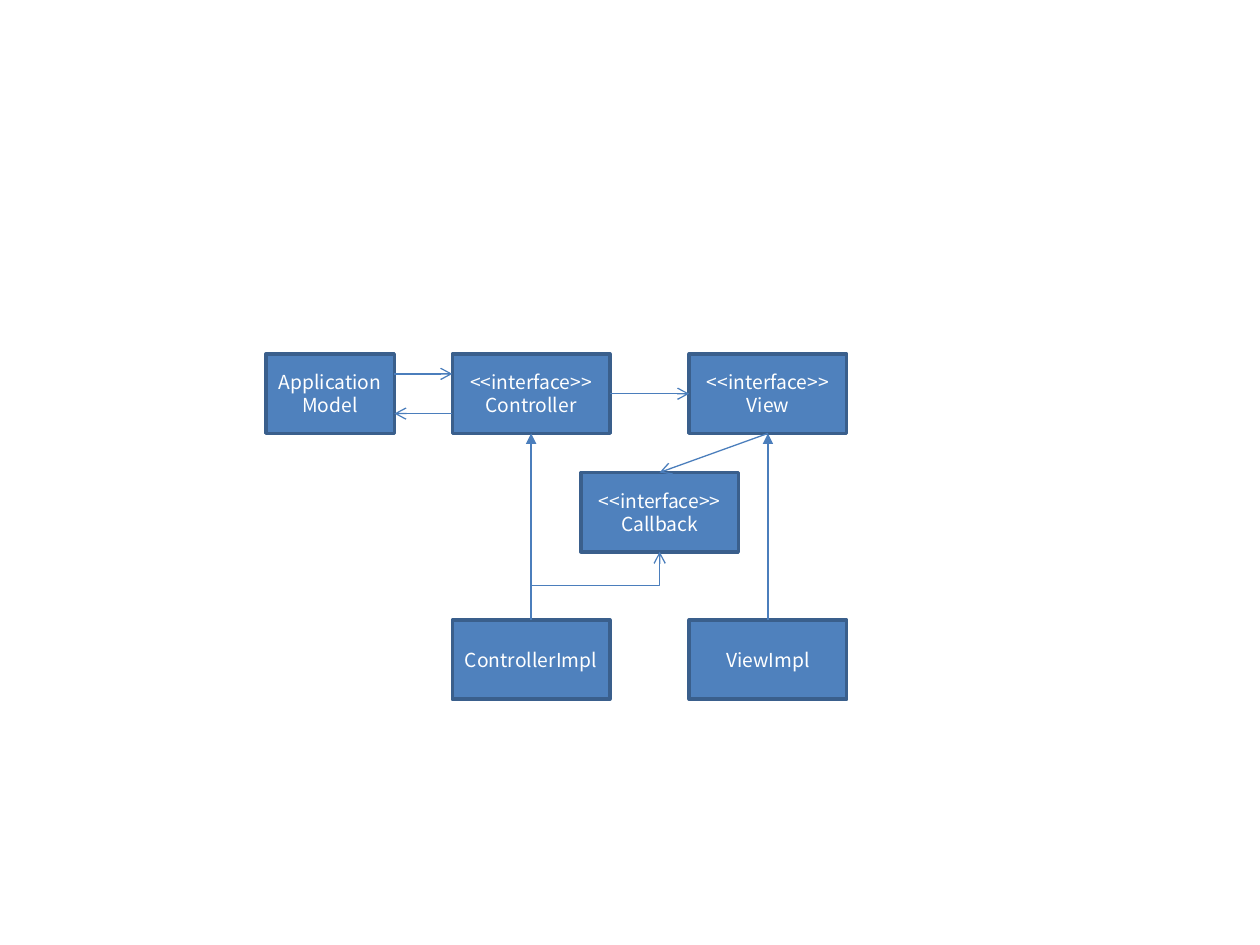
import dataclasses

import lxml.etree
import pptx
import pptx.dml.color
import pptx.enum.shapes
import pptx.enum.text
import pptx.oxml.ns
import pptx.util

Inches = pptx.util.Inches
BOX_HEIGHT = 0.63
INTERFACE_TOP, CALLBACK_TOP, IMPL_TOP = 2.81, 3.75, 4.92
FONT = "Noto Sans CJK KR"
FILL, BORDER, ARROW = "4F81BD", "3A5F8C", "4B7EBC"


@dataclasses.dataclass(frozen=True)
class ClassBox:
    lines: tuple[str, ...]
    left: float
    top: float
    width: float = 1.25

    @property
    def right(self) -> float:
        return self.left + self.width

    @property
    def center(self) -> float:
        return self.left + self.width / 2

    @property
    def middle(self) -> float:
        return self.top + BOX_HEIGHT / 2

    @property
    def bottom(self) -> float:
        return self.top + BOX_HEIGHT


@dataclasses.dataclass(frozen=True)
class Relation:
    start: tuple[float, float]
    end: tuple[float, float]
    head: str = "arrow"
    bent: bool = False


def color(value: str) -> pptx.dml.color.RGBColor:
    return pptx.dml.color.RGBColor.from_string(value)


def write_text(frame, lines: tuple[str, ...], *, size: float = 11,
               font: str = FONT, ink: str = "FFFFFF") -> None:
    frame.word_wrap = True
    frame.vertical_anchor = pptx.enum.text.MSO_ANCHOR.MIDDLE
    frame.margin_left = frame.margin_right = Inches(0.05)
    frame.margin_top = frame.margin_bottom = Inches(0.03)
    for index, line in enumerate(lines):
        paragraph = frame.add_paragraph() if index else frame.paragraphs[0]
        paragraph.alignment = pptx.enum.text.PP_ALIGN.CENTER
        run = paragraph.add_run()
        run.text = line
        run.font.size = pptx.util.Pt(size)
        run.font.name = font
        run.font.color.rgb = color(ink)
        for tag in ("a:ea", "a:cs"):
            lxml.etree.SubElement(run.font._element, pptx.oxml.ns.qn(tag), typeface=font)


def draw_box(slide, box: ClassBox) -> None:
    shape = slide.shapes.add_shape(
        pptx.enum.shapes.MSO_SHAPE.RECTANGLE,
        Inches(box.left), Inches(box.top), Inches(box.width), Inches(BOX_HEIGHT))
    shape.shadow.inherit = False
    shape.fill.solid()
    shape.fill.fore_color.rgb = color(FILL)
    shape.line.color.rgb = color(BORDER)
    shape.line.width = pptx.util.Pt(2)
    write_text(shape.text_frame, box.lines)


def draw_relation(slide, relation: Relation) -> None:
    kinds = pptx.enum.shapes.MSO_CONNECTOR
    (x1, y1), (x2, y2) = relation.start, relation.end
    kind = kinds.STRAIGHT
    if relation.bent:
        kind = kinds.ELBOW
        mid_x, mid_y = (x1 + x2) / 2, (y1 + y2) / 2
        half_run, half_rise = (x2 - x1) / 2, (y1 - y2) / 2
        x1, x2 = mid_x + half_rise, mid_x - half_rise
        y1, y2 = mid_y + half_run, mid_y - half_run
    connector = slide.shapes.add_connector(
        kind, Inches(x1), Inches(y1), Inches(x2), Inches(y2))
    connector.line.color.rgb = color(ARROW)
    connector.line.width = pptx.util.Pt(0.75)
    properties = connector._element.spPr
    if relation.bent:
        properties.find(pptx.oxml.ns.qn("a:xfrm")).set("rot", "5400000")
    outline = properties.find(pptx.oxml.ns.qn("a:ln"))
    lxml.etree.SubElement(outline, pptx.oxml.ns.qn("a:tailEnd"), type=relation.head)
    lxml.etree.SubElement(properties, pptx.oxml.ns.qn("a:effectLst"))


model = ClassBox(("Application Model",), 2.11, INTERFACE_TOP, 1.02)
controller = ClassBox(("<<interface>>", "Controller"), 3.59, INTERFACE_TOP)
callback = ClassBox(("<<interface>>", "Callback"), 4.61, CALLBACK_TOP)
view = ClassBox(("<<interface>>", "View"), 5.47, INTERFACE_TOP)
controller_impl = ClassBox(("ControllerImpl",), controller.left, IMPL_TOP)
view_impl = ClassBox(("ViewImpl",), view.left, IMPL_TOP)

request_y = model.top + BOX_HEIGHT / 4
reply_y = model.top + BOX_HEIGHT * 3 / 4
relations = (
    Relation((model.right, request_y), (controller.left, request_y)),
    Relation((controller.left, reply_y), (model.right, reply_y)),
    Relation((controller.right, controller.middle), (view.left, view.middle)),
    Relation((view.center, view.bottom), (callback.center, callback.top)),
    Relation((controller_impl.center, controller_impl.top),
             (controller.center, controller.bottom), "triangle"),
    Relation((controller_impl.center, controller_impl.top),
             (callback.center, callback.bottom), bent=True),
    Relation((view_impl.center, view_impl.top), (view.center, view.bottom), "triangle"),
)

deck = pptx.Presentation()
deck.slide_width, deck.slide_height = Inches(10), Inches(7.5)
diagram = deck.slides.add_slide(deck.slide_layouts[6])
for class_box in (model, controller, callback, view, controller_impl, view_impl):
    draw_box(diagram, class_box)
for link in relations:
    draw_relation(diagram, link)
deck.save("out.pptx")
